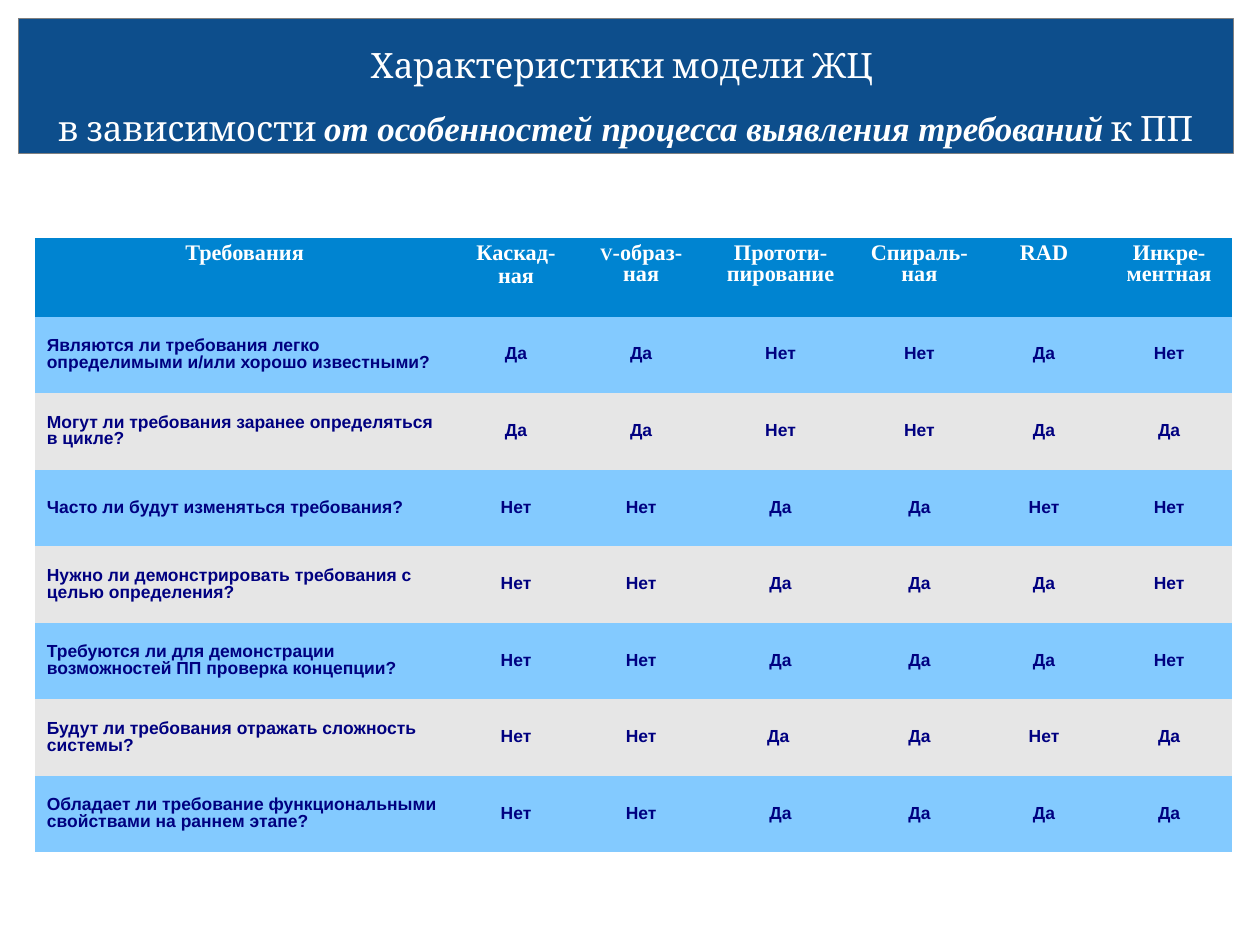
from lxml import etree
from pptx import Presentation
from pptx import util as u
from pptx.dml.color import RGBColor
from pptx.enum import text
from pptx.oxml import ns


def colour(code):
    return RGBColor.from_string(code)


def add_span(para, words, name, size, shade, bold=True, italic=False):
    span = para.add_run()
    span.text = words
    formats = {"name": name, "size": u.Pt(size), "bold": bold, "italic": italic}
    for key, value in formats.items():
        setattr(span.font, key, value)
    span.font.color.rgb = colour(shade)


deck = Presentation()
deck.slide_width = u.Inches(28 / 2.54)
deck.slide_height = u.Inches(21 / 2.54)
page = deck.slides.add_slide(deck.slide_layouts[5])

title = page.shapes.title
place = {"left": 0.16, "top": 0.16, "width": 10.63, "height": 1.18}
for key, value in place.items():
    setattr(title, key, u.Inches(value))
title.fill.solid()
title.fill.fore_color.rgb = colour("004586")
fill_colour = title._element.spPr.find(".//" + ns.qn("a:srgbClr"))
etree.SubElement(fill_colour, ns.qn("a:alpha"), val="95000")
title.line.color.rgb = colour("808080")
title.line.width = u.Pt(0.75)

frame = title.text_frame
frame_formats = {
    "word_wrap": True,
    "auto_size": text.MSO_AUTO_SIZE.NONE,
    "vertical_anchor": text.MSO_ANCHOR.MIDDLE,
}
for key, value in frame_formats.items():
    setattr(frame, key, value)
para = frame.paragraphs[0]
para.alignment = text.PP_ALIGN.CENTER
para.line_spacing = 1.5
add_span(para, "Характеристики модели ЖЦ ", "Cambria", 22, "FFFFFF", False)
para.add_line_break()
add_span(para, "в зависимости ", "Cambria", 22, "FFFFFF", False)
add_span(para, "от особенностей процесса выявления требований",
         "Times New Roman", 22, "FFFFFF", True, True)
add_span(para, " к ПП", "Cambria", 22, "FFFFFF", False)

headings = [
    ["Требования"],
    ["Каскад-", "ная"],
    ["V-образ-", "ная"],
    ["Прототи-", "пирование"],
    ["Спираль-", "ная"],
    ["RAD"],
    ["Инкре-", "ментная"],
]
questions = [
    ("Являются ли требования легко определимыми и/или хорошо известными?",
     "Да,Да,Нет,Нет,Да,Нет"),
    ("Могут ли требования заранее определяться в цикле?",
     "Да,Да,Нет,Нет,Да,Да"),
    ("Часто ли будут изменяться требования?",
     "Нет,Нет,Да,Да,Нет,Нет"),
    ("Нужно ли демонстрировать требования с целью определения?",
     "Нет,Нет,Да,Да,Да,Нет"),
    ("Требуются ли для демонстрации возможностей ПП проверка концепции?",
     "Нет,Нет,Да,Да,Да,Нет"),
    ("Будут ли требования отражать сложность системы?",
     "Нет,Нет,Да ,Да,Нет,Да"),
    ("Обладает ли требование функциональными свойствами на раннем этапе?",
     "Нет,Нет,Да,Да,Да,Да"),
]
widths = [3.66, 1.09, 1.1, 1.34, 1.09, 1.09, 1.1]
heights = [0.69] + [0.67] * len(questions)

table = page.shapes.add_table(
    len(heights), len(widths), u.Inches(0.31), u.Inches(2.08),
    u.Inches(sum(widths)), u.Inches(sum(heights))).table
style = table._tbl.tblPr.find(ns.qn("a:tableStyleId"))
style.text = "{2D5ABB26-0587-4C30-8999-92F81FD0307C}"
for column, width in zip(table.columns, widths):
    column.width = u.Inches(width)
for row, height in zip(table.rows, heights):
    row.height = u.Inches(height)

for index, lines in enumerate(headings):
    cell = table.cell(0, index)
    cell.fill.solid()
    cell.fill.fore_color.rgb = colour("0084D1")
    for number, line in enumerate(lines):
        para = cell.text_frame.paragraphs[0] if number == 0 else cell.text_frame.add_paragraph()
        para.alignment = text.PP_ALIGN.CENTER
        para.line_spacing = 0.98 if number and lines[0] == "Каскад-" else 0.86
        if len(lines) == 1:
            para.space_before = u.Pt(2.9)
        if line.startswith("V"):
            add_span(para, "V", "Times New Roman", 11, "FFFFFF")
            line = line[1:]
        add_span(para, line, "Times New Roman", 14, "FFFFFF")

for number, (question, answers) in enumerate(questions, 1):
    for index, words in enumerate([question] + answers.split(",")):
        cell = table.cell(number, index)
        cell.vertical_anchor = text.MSO_ANCHOR.MIDDLE
        cell.fill.solid()
        cell.fill.fore_color.rgb = colour("83CAFF" if number % 2 else "E6E6E6")
        para = cell.text_frame.paragraphs[0]
        para.line_spacing = 0.87
        if index:
            para.alignment = text.PP_ALIGN.CENTER
            para.space_before = u.Pt(2.9)
        add_span(para, words, "Arial", 11, "000080")

deck.save("out.pptx")
